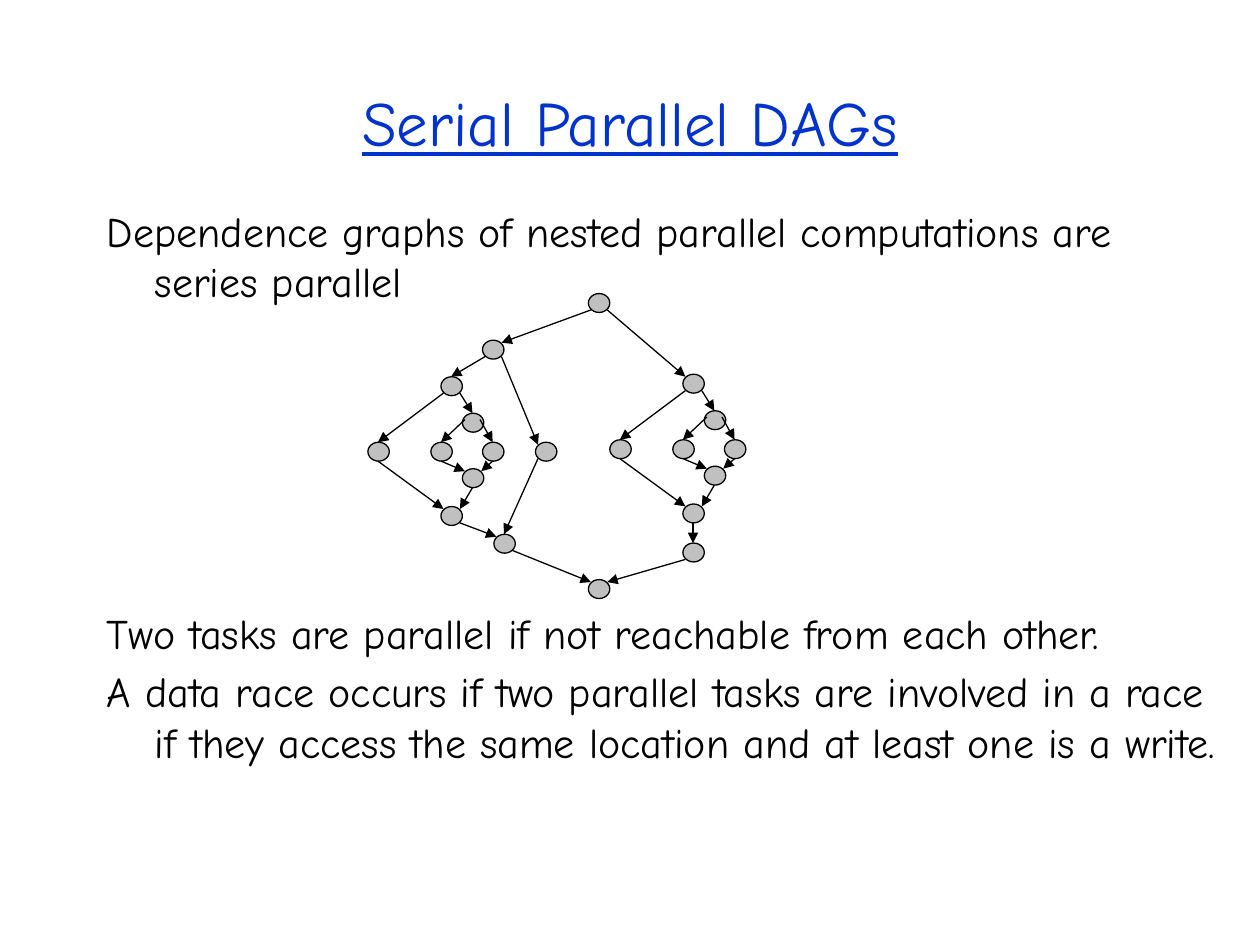
import pptx
import pptx.util
import pptx.dml.color
import pptx.enum.shapes
import pptx.enum.text
import pptx.oxml.ns
import lxml.etree

Inches = pptx.util.Inches
Pt = pptx.util.Pt
RGBColor = pptx.dml.color.RGBColor

BLUE = RGBColor(0x00, 0x33, 0xCC)
BLACK = RGBColor(0x00, 0x00, 0x00)
GREY = RGBColor(0xC0, 0xC0, 0xC0)
FONT = "Comic Neue"

NODE_WIDTH, NODE_HEIGHT = 0.17, 0.15
PORTS = {
    "top": (0.08, 0),
    "bottom": (0.08, 0.15),
    "top left": (0.02, 0.02),
    "top right": (0.15, 0.02),
    "upper left": (0.02, 0.05),
    "upper right": (0.14, 0.05),
    "bottom left": (0.02, 0.13),
    "bottom right": (0.15, 0.13),
}

NESTED_NODES = {
    "fork": (0, 0),
    "leaf": (-0.58, 0.52),
    "inner fork": (0.17, 0.29),
    "inner left": (-0.08, 0.52),
    "inner right": (0.33, 0.52),
    "inner join": (0.17, 0.73),
    "join": (0, 1.03),
}
NESTED_EDGES = [
    ("fork", "bottom left", "leaf", "top"),
    ("fork", "bottom right", "inner fork", "top"),
    ("inner fork", "upper left", "inner left", "top"),
    ("inner fork", "upper right", "inner right", "top"),
    ("inner left", "bottom", "inner join", "top left"),
    ("inner right", "bottom", "inner join", "top right"),
    ("leaf", "bottom", "join", "top left"),
    ("inner join", "bottom", "join", "top right"),
]

OUTER_NODES = {
    "root": (1.75, 0),
    "left fork": (0.91, 0.37),
    "left leaf": (1.33, 1.18),
    "left join": (1, 1.91),
    "right end": (2.5, 1.98),
    "sink": (1.75, 2.27),
}
NESTED_PLACES = {"left": (0.58, 0.66), "right": (2.5, 0.64)}
OUTER_EDGES = [
    ("root", "bottom left", "left fork", "top right"),
    ("root", "bottom right", "right fork", "top left"),
    ("left fork", "bottom left", "left nested fork", "top"),
    ("left fork", "bottom right", "left leaf", "top left"),
    ("left leaf", "bottom left", "left join", "top"),
    ("left nested join", "bottom right", "left join", "top left"),
    ("right join", "bottom", "right end", "top"),
    ("left join", "bottom right", "sink", "top left"),
    ("right end", "bottom left", "sink", "top right"),
]


def style_text(para, size, color):
    for span in para.runs:
        span.font.name = FONT
        span.font.size = Pt(size)
        span.font.color.rgb = color


def add_title(page, left, top, width, height):
    box = page.shapes.add_textbox(Inches(left), Inches(top), Inches(width), Inches(height))
    frame = box.text_frame
    frame.word_wrap = True
    frame.vertical_anchor = pptx.enum.text.MSO_ANCHOR.MIDDLE
    frame.text = "Serial Parallel DAGs"
    para = frame.paragraphs[0]
    para.alignment = pptx.enum.text.PP_ALIGN.CENTER
    style_text(para, 36, BLUE)
    para.runs[0].font.underline = True


def add_body(page, left, top, width, height):
    box = page.shapes.add_textbox(Inches(left), Inches(top), Inches(width), Inches(height))
    frame = box.text_frame
    frame.word_wrap = True
    statements = [
        ("Dependence graphs of nested parallel computations are series parallel", 0),
        ("Two tasks are parallel if not reachable from each other.", 172),
        ("A data race occurs if two parallel tasks are involved in a race "
         "if they access the same location and at least one is a write.", 4.8),
    ]
    for index, (statement, gap) in enumerate(statements):
        para = frame.add_paragraph() if index else frame.paragraphs[0]
        para.text = statement
        para.space_before = Pt(gap)
        properties = para._p.get_or_add_pPr()
        properties.set("marL", str(Inches(0.38)))
        properties.set("indent", str(Inches(-0.38)))
        style_text(para, 24, BLACK)


def add_node(group, left, top):
    node = group.shapes.add_shape(
        pptx.enum.shapes.MSO_SHAPE.OVAL,
        Inches(left), Inches(top), Inches(NODE_WIDTH), Inches(NODE_HEIGHT))
    node.shadow.inherit = False
    node.fill.solid()
    node.fill.fore_color.rgb = GREY
    node.line.color.rgb = BLACK
    node.line.width = Pt(0.75)


def add_edge(group, start, end):
    edge = group.shapes.add_connector(
        pptx.enum.shapes.MSO_CONNECTOR.STRAIGHT, *map(Inches, start + end))
    edge.line.color.rgb = BLACK
    edge.line.width = Pt(0.75)
    qn = pptx.oxml.ns.qn
    lxml.etree.SubElement(edge.line._get_or_add_ln(), qn("a:tailEnd"), type="triangle")
    lxml.etree.SubElement(edge._element.spPr, qn("a:effectLst"))


def add_graph(page, left, top):
    group = page.shapes.add_group_shape()
    nodes = dict(OUTER_NODES)
    edges = list(OUTER_EDGES)
    prefixes = {"left": "left nested ", "right": "right "}
    for side, (x, y) in NESTED_PLACES.items():
        prefix = prefixes[side]
        for name, (dx, dy) in NESTED_NODES.items():
            nodes[prefix + name] = (x + dx, y + dy)
        for source, exit_port, target, entry_port in NESTED_EDGES:
            edges.append((prefix + source, exit_port, prefix + target, entry_port))

    def port_position(name, port):
        x, y = nodes[name]
        dx, dy = PORTS[port]
        return left + x + dx, top + y + dy

    for x, y in nodes.values():
        add_node(group, left + x, top + y)
    for source, exit_port, target, entry_port in edges:
        add_edge(group, port_position(source, exit_port), port_position(target, entry_port))


def main():
    deck = pptx.Presentation()
    deck.slide_width = Inches(10)
    deck.slide_height = Inches(7.5)
    page = deck.slides.add_slide(deck.slide_layouts[6])
    add_title(page, 0.75, 0.5, 8.5, 0.92)
    add_body(page, 0.75, 1.58, 9, 5.08)
    add_graph(page, 2.92, 2.33)
    deck.save("out.pptx")


if __name__ == "__main__":
    main()
